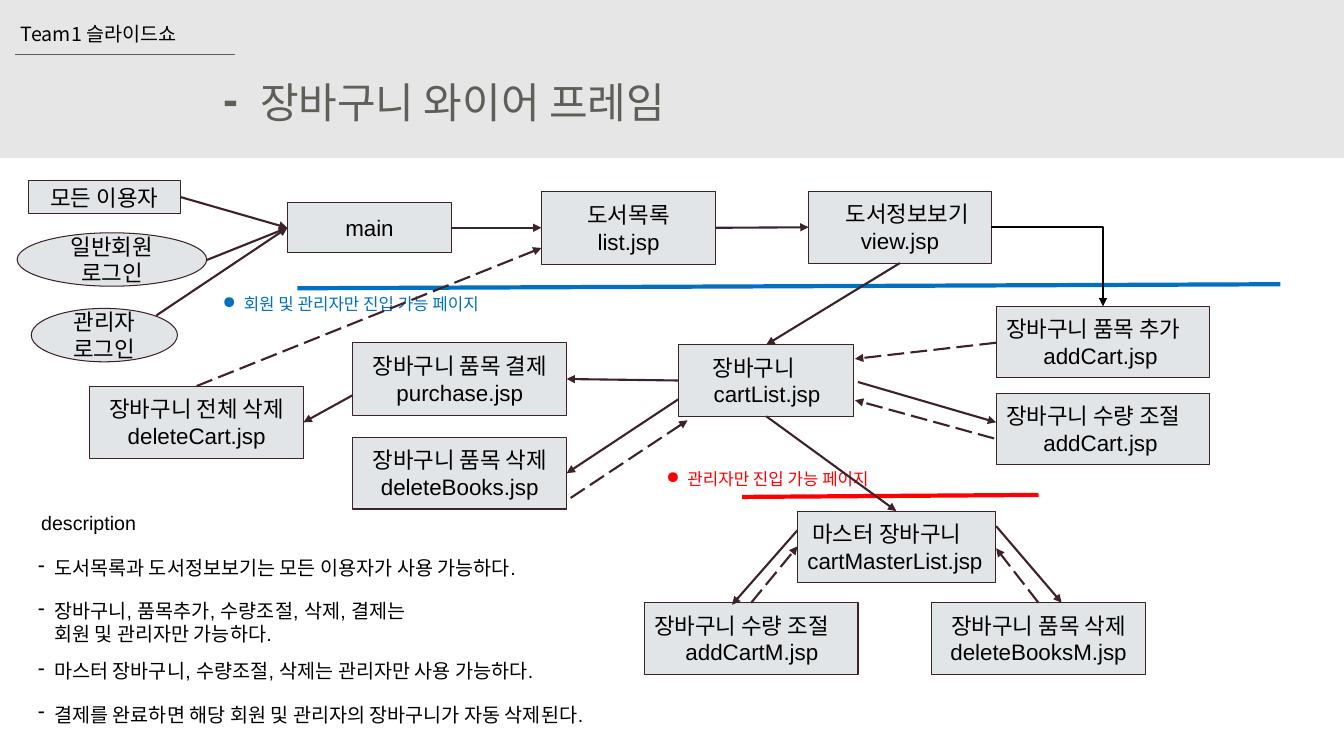
from lxml import etree
from pptx import Presentation
from pptx.dml.color import RGBColor
from pptx.enum.dml import MSO_LINE
from pptx.enum.shapes import MSO_CONNECTOR, MSO_SHAPE
from pptx.enum.text import MSO_ANCHOR, MSO_AUTO_SIZE, PP_ALIGN
from pptx.oxml.ns import qn
from pptx.util import Inches, Pt

RECT, OVAL = MSO_SHAPE.RECTANGLE, MSO_SHAPE.OVAL
STRAIGHT, ELBOW = MSO_CONNECTOR.STRAIGHT, MSO_CONNECTOR.ELBOW
LEFT_ALIGN, CENTER, RIGHT_ALIGN = PP_ALIGN.LEFT, PP_ALIGN.CENTER, PP_ALIGN.RIGHT
TOP_ANCHOR, MIDDLE = MSO_ANCHOR.TOP, MSO_ANCHOR.MIDDLE
NO_AUTOSIZE = MSO_AUTO_SIZE.NONE
LONG_DASH = MSO_LINE.LONG_DASH
TOP, LEFT, BOTTOM, RIGHT = range(4)

BAND, GRAY, PANEL, EDGE = "E7E6E6", "5F5E58", "E2E5E8", "3D2229"
BLACK, BLUE, RED = "000000", "0070C0", "FF0000"
WIDE, TALL = 2.12, 0.71

PAGES = {
    "main": (RECT, 2.85, 0.51, 1.63, 0.5, CENTER, [("main", 0)]),
    "list": (RECT, 5.37, 0.4, 1.73, 0.72, CENTER, [("도서목록", 0), ("list.jsp", 0)]),
    "view": (RECT, 8.02, 0.4, 1.81, TALL, CENTER,
             [("도서정보보기", 0.15), ("view.jsp", 0)]),
    "add": (RECT, 9.88, 1.54, WIDE, TALL, LEFT_ALIGN,
            [("장바구니 품목 추가", 0), ("addCart.jsp", 0.37)]),
    "quantity": (RECT, 9.88, 2.4, WIDE, TALL, LEFT_ALIGN,
                 [("장바구니 수량 조절", 0), ("addCart.jsp", 0.37)]),
    "cart": (RECT, 6.73, 1.92, 1.74, TALL, LEFT_ALIGN,
             [("장바구니", 0.24), ("cartList.jsp", 0.25)]),
    "purchase": (RECT, 3.5, 1.9, WIDE, 0.72, CENTER,
                 [("장바구니 품목 결제", 0), ("purchase.jsp", 0)]),
    "delete": (RECT, 3.5, 2.84, WIDE, TALL, CENTER,
               [("장바구니 품목 삭제", 0), ("deleteBooks.jsp", 0)]),
    "clear": (RECT, 0.89, 2.33, WIDE, 0.72, CENTER,
              [("장바구니 전체 삭제", 0), ("deleteCart.jsp", 0)]),
    "master": (RECT, 7.91, 3.57, 1.96, TALL, LEFT_ALIGN,
               [("마스터 장바구니", 0.05), ("cartMasterList.jsp", 0)]),
    "master quantity": (RECT, 6.39, 4.48, WIDE, TALL, LEFT_ALIGN,
                        [("장바구니 수량 조절", 0), ("addCartM.jsp", 0.31)]),
    "master delete": (RECT, 9.24, 4.48, WIDE, TALL, CENTER,
                      [("장바구니 품목 삭제", 0), ("deleteBooksM.jsp", 0)]),
    "everyone": (RECT, 0.28, 0.29, 1.51, 0.33, CENTER, [("모든 이용자", 0)]),
    "member": (OVAL, 0.17, 0.81, 1.88, 0.53, CENTER, [("일반회원 로그인", 0)]),
    "admin": (OVAL, 0.31, 1.56, 1.45, 0.53, CENTER, [("관리자 로그인", 0)]),
}
REQUESTS = [
    (("everyone", RIGHT), ("main", LEFT)),
    ((2.05, 1.08), ("main", LEFT)),
    ((1.55, 1.63), ("main", LEFT)),
    (("main", RIGHT), ("list", LEFT)),
    (("list", RIGHT), ("view", LEFT)),
    (("view", BOTTOM), ("cart", TOP)),
    (("cart", LEFT), ("purchase", RIGHT)),
    ((6.73, 2.46), ("delete", RIGHT)),
    ((3.5, 2.42), ("clear", RIGHT)),
    ((8.51, 2.29), (9.88, 2.69)),
    (("cart", BOTTOM), ("master", TOP)),
    ((7.91, 3.76), (7.26, 4.5)),
    ((9.88, 3.72), (10.53, 4.48)),
]
RETURNS = [
    (("clear", TOP), (5.37, 0.96)),
    ((9.88, 1.9), (8.48, 2.06)),
    ((9.86, 2.85), (8.48, 2.47)),
    ((5.66, 3.44), (6.82, 2.67)),
    ((7.45, 4.48), (7.91, 3.92)),
    ((10.3, 4.48), (9.88, 3.94)),
]
ACCESS_LIMITS = [
    (BLUE, (2.95, 1.36), (12.7, 1.32), (1.87, 1.31, 3.27, 0.4), 0.24,
     "회원 및 관리자만 진입 가능 페이지"),
    (RED, (7.36, 3.43), (10.3, 3.41), (6.32, 3.05, 3.18, 0.4), 0.19,
     "관리자만 진입 가능 페이지"),
]
NOTES = [
    (0.45, 0.44, "도서목록과 도서정보보기는 모든 이용자가 사용 가능하다."),
    (0.87, 0.67, "장바구니, 품목추가, 수량조절, 삭제, 결제는\v회원 및 관리자만 가능하다."),
    (1.47, 0.44, "마스터 장바구니, 수량조절, 삭제는 관리자만 사용 가능하다."),
    (1.9, 0.44, "결제를 완료하면 해당 회원 및 관리자의 장바구니가 자동 삭제된다."),
]


def color(value):
    return RGBColor.from_string(value)


def inches(*lengths):
    return [Inches(length) for length in lengths]


def set_frame(frame, pad, anchor=TOP_ANCHOR):
    frame.word_wrap = True
    frame.auto_size = NO_AUTOSIZE
    frame.vertical_anchor = anchor
    frame.margin_left = frame.margin_right = Inches(0.1)
    frame.margin_top = frame.margin_bottom = Inches(pad)


def write(paragraph, words, size, ink, font="Arial", align=LEFT_ALIGN,
          start=0, hang=0, bullet=None):
    paragraph.text = words
    paragraph.alignment = align
    properties = paragraph._p.get_or_add_pPr()
    properties.set("marL", str(Inches(start + hang)))
    properties.set("indent", str(-Inches(hang)))
    if bullet:
        etree.SubElement(properties, qn("a:buChar")).set("char", bullet)
    paragraph.font.size = Pt(size)
    paragraph.font.name = font
    paragraph.font.color.rgb = color(ink)


def add_text(slide, box, words, size, ink, pad=0.1, **style):
    frame = slide.shapes.add_textbox(*inches(*box)).text_frame
    set_frame(frame, pad)
    write(frame.paragraphs[0], words, size, ink, **style)
    return frame.paragraphs[0]


def add_line(slide, start, end, ink, width, kind=STRAIGHT):
    line = slide.shapes.add_connector(kind, *inches(*start, *end))
    line.line.color.rgb = color(ink)
    line.line.width = Pt(width)
    etree.SubElement(line.element.spPr, qn("a:effectLst"))
    return line


def add_arrow(slide, pages, left, top, start, end, ink=EDGE, kind=STRAIGHT):
    arrow = add_line(slide, (0, 0), (0, 0), ink, 1.5, kind)
    if start[0] in pages:
        arrow.begin_connect(pages[start[0]], start[1])
    else:
        arrow.begin_x, arrow.begin_y = inches(left + start[0], top + start[1])
    if end[0] in pages:
        arrow.end_connect(pages[end[0]], end[1])
    else:
        arrow.end_x, arrow.end_y = inches(left + end[0], top + end[1])
    outline = arrow.line._get_or_add_ln()
    etree.SubElement(outline, qn("a:tailEnd")).set("type", "triangle")
    return arrow


def draw_header(slide, left, top, width, height):
    title = slide.shapes.title
    band = slide.shapes.add_shape(RECT, *inches(left, top, width, height))
    band.shadow.inherit = False
    band.fill.solid()
    band.fill.fore_color.rgb = color(BAND)
    band.line.fill.background()
    title.element.addprevious(band.element)
    title.left, title.top, title.width, title.height = inches(
        left + 2.48, top + 0.71, 5.43, 0.61)
    set_frame(title.text_frame, 0.05)
    write(title.text_frame.paragraphs[0], "장바구니 와이어 프레임", 30, GRAY)
    dash = add_text(slide, (left + 1.77, top + 0.65, 0.69, 0.64), "-", 32, GRAY,
                    pad=0.05, align=RIGHT_ALIGN)
    dash.font.bold = True
    add_text(slide, (left + 0.11, top + 0.17, 2, 0.34), "Team1 슬라이드쇼", 14, BLACK,
             pad=0.05, font="Noto Sans CJK KR")
    add_line(slide, (left + 0.15, top + 0.54), (left + 2.33, top + 0.54), GRAY, 0.75)


def draw_page(slide, left, top, page):
    outline, x, y, width, height, align, lines = page
    box = slide.shapes.add_shape(outline, *inches(left + x, top + y, width, height))
    box.shadow.inherit = False
    box.fill.solid()
    box.fill.fore_color.rgb = color(PANEL)
    box.line.color.rgb = color(EDGE)
    box.line.width = Pt(0.75)
    frame = box.text_frame
    set_frame(frame, 0.1, MIDDLE)
    for number, (words, start) in enumerate(lines):
        paragraph = frame.add_paragraph() if number else frame.paragraphs[0]
        write(paragraph, words, 16, BLACK, align=align, start=start)
    return box


def draw_flow(slide, left, top):
    pages = {name: draw_page(slide, left, top, page) for name, page in PAGES.items()}
    for ink, start, end, (x, y, width, height), indent, words in ACCESS_LIMITS:
        add_line(slide, (left + start[0], top + start[1]),
                 (left + end[0], top + end[1]), ink, 3)
        add_text(slide, (left + x, top + y, width, height), words, 12, ink,
                 start=indent, hang=0.21, bullet="●")
    for start, end in REQUESTS:
        add_arrow(slide, pages, left, top, start, end)
    for start, end in RETURNS:
        add_arrow(slide, pages, left, top, start, end).line.dash_style = LONG_DASH
    corner = add_arrow(slide, pages, left, top, ("view", RIGHT), ("add", TOP), BLACK, ELBOW)
    corner.element.spPr.find(qn("a:prstGeom")).set("prst", "bentConnector2")


def draw_notes(slide, left, top, width):
    add_text(slide, (left + 0.03, top, 1.63, 0.44), "description", 14, BLACK)
    for offset, height, words in NOTES:
        add_text(slide, (left, top + offset, width, height), words, 14, BLACK,
                 hang=0.16, bullet="-")


def main():
    deck = Presentation()
    deck.slide_width, deck.slide_height = inches(13.33, 7.5)
    slide = deck.slides.add_slide(deck.slide_layouts[5])
    draw_header(slide, 0, 0, 13.33, 1.57)
    draw_flow(slide, 0, 1.5)
    draw_notes(slide, 0.28, 4.97, 6.21)
    deck.save("out.pptx")


if __name__ == "__main__":
    main()
